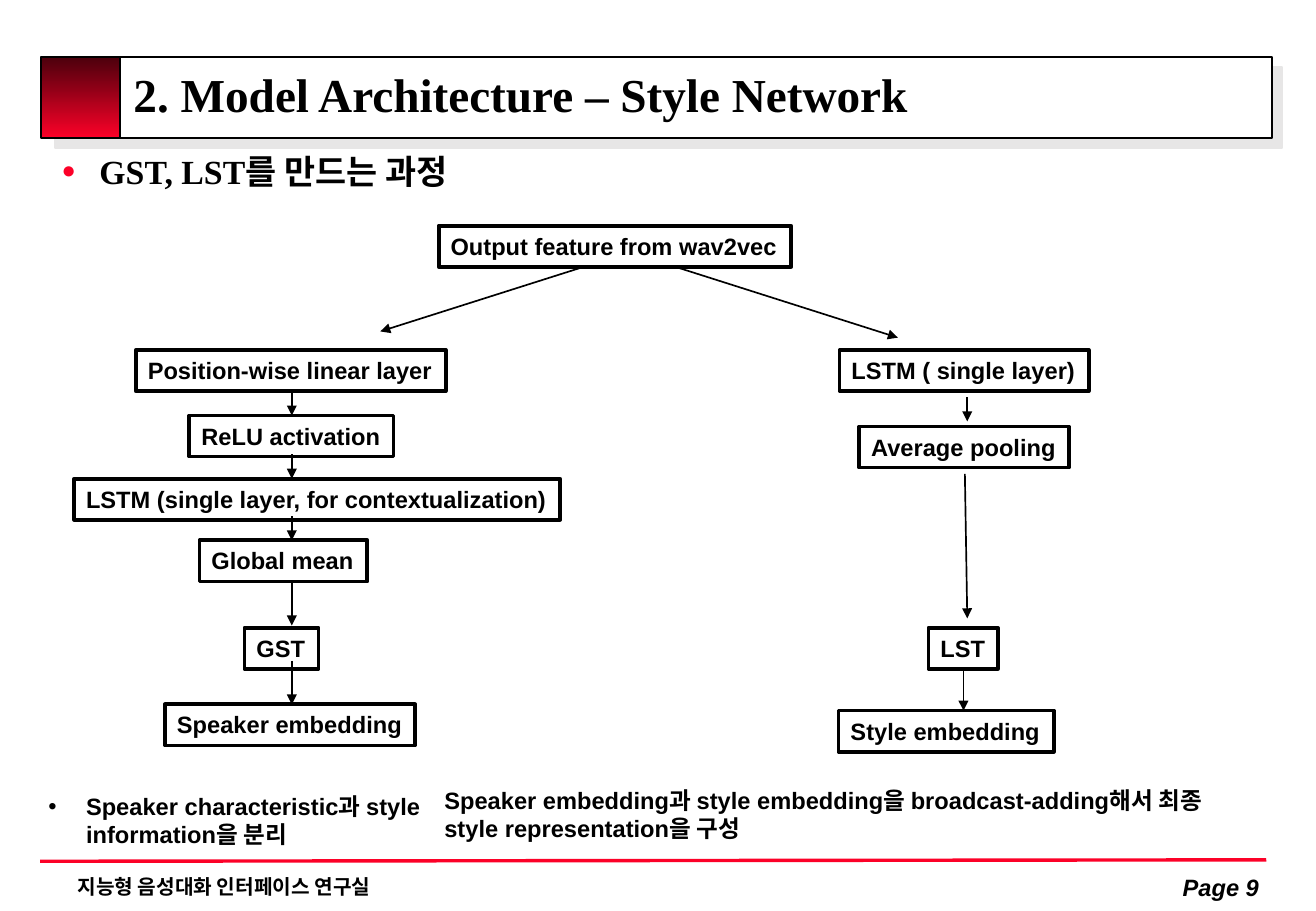
import pptx
import pptx.dml.color
import pptx.enum.shapes
import pptx.enum.text
import pptx.oxml.ns
import pptx.util
from lxml import etree

Cm = pptx.util.Cm
Pt = pptx.util.Pt
qn = pptx.oxml.ns.qn
ANCHOR = pptx.enum.text.MSO_ANCHOR
ALIGN = pptx.enum.text.PP_ALIGN

HEX = {"ink": "000000", "paper": "FFFFFF", "red": "FC0128",
       "dark": "4B000C", "shade": "E7E6E6"}
BOX_H = 0.86
LEFT_X = 6.1

# text, left, top, width
STEPS = [
    ("Output feature from wav2vec", 9.17, 4.72, 7.37),
    ("Position-wise linear layer", 2.84, 7.32, 6.48),
    ("ReLU activation", 3.96, 8.69, 4.27),
    ("LSTM (single layer, for contextualization)", 1.55, 10.01, 10.16),
    ("Global mean", 4.17, 11.3, 3.51),
    ("GST", 5.11, 13.13, 1.55),
    ("Speaker embedding", 3.45, 14.73, 5.23),
    ("LSTM ( single layer)", 17.55, 7.32, 5.21),
    ("Average pooling", 17.96, 8.92, 4.39),
    ("LST", 19.41, 13.13, 1.45),
    ("Style embedding", 17.53, 14.86, 4.5),
]
# start and end heights of the arrows down the left column
DROPS = [(8.18, 8.69), (9.5, 10.01), (10.8, 11.3), (12.17, 13.08), (13.82, 14.73)]
# start x, start y, end x, end y
ARROWS = [
    (12.17, 5.59, 7.95, 6.93),
    (14.15, 5.59, 18.77, 7.06),
    (20.22, 8.31, 20.22, 8.81),
    (20.17, 9.91, 20.22, 12.93),
    (20.14, 13.97, 20.14, 14.86),
]


def color(name):
    return pptx.dml.color.RGBColor.from_string(HEX[name])


def add_node(parent, tag, **attrs):
    return etree.SubElement(parent, qn(tag), attrs)


def add_shade(effects, dist):
    """Fill an effect list with a hard shadow to the lower right."""
    shade = add_node(effects, "a:outerShdw", dist=str(int(Pt(dist))),
                     dir="2700000", algn="ctr", rotWithShape="0")
    add_node(shade, "a:srgbClr", val=HEX["shade"])


def add_panel(slide, left, top, width, height):
    rect = pptx.enum.shapes.MSO_SHAPE.RECTANGLE
    panel = slide.shapes.add_shape(rect, Cm(left), Cm(top), Cm(width), Cm(height))
    panel.shadow.inherit = False
    panel.line.color.rgb = color("ink")
    panel.line.width = Pt(1)
    return panel


def add_line(slide, ends, tint="ink", width=1, arrow=True):
    straight = pptx.enum.shapes.MSO_CONNECTOR.STRAIGHT
    line = slide.shapes.add_connector(straight, *[Cm(end) for end in ends])
    line.line.color.rgb = color(tint)
    line.line.width = Pt(width)
    props = line.element.spPr
    if arrow:
        add_node(props.find(qn("a:ln")), "a:tailEnd", type="triangle")
    add_node(props, "a:effectLst")


def add_bullet(para, char, tint, size):
    """Hang the paragraph from a bullet of the given size in percent."""
    props = para._p.get_or_add_pPr()
    indent = int(Cm(0.79))
    props.set("marL", str(indent))
    props.set("indent", str(-indent))
    add_node(add_node(props, "a:buClr"), "a:srgbClr", val=HEX[tint])
    add_node(props, "a:buSzPct", val=str(size * 1000))
    add_node(props, "a:buFont", typeface="Arial")
    add_node(props, "a:buChar", char=char)


def add_text(slide, text, left, top, width, height, size=14, face="Arial",
             wrap=True, anchor=ANCHOR.TOP, bullet=None):
    box = slide.shapes.add_textbox(Cm(left), Cm(top), Cm(width), Cm(height))
    frame = box.text_frame
    frame.text = text
    frame.word_wrap = wrap
    frame.vertical_anchor = anchor
    para = frame.paragraphs[0]
    if bullet:
        add_bullet(para, *bullet)
    font = para.runs[0].font
    font.size = Pt(size)
    font.bold = True
    font.color.rgb = color("ink")
    font.name = face
    return box


def add_step(slide, text, left, top, width):
    """Add a framed box of the flow chart."""
    box = add_text(slide, text, left, top, width, BOX_H, wrap=False)
    box.text_frame.auto_size = pptx.enum.text.MSO_AUTO_SIZE.SHAPE_TO_FIT_TEXT
    box.line.color.rgb = color("ink")
    box.line.width = Pt(2.25)


def add_head(slide):
    bar = add_panel(slide, 0.94, 1.19, 25.65, 1.7)
    bar.fill.solid()
    bar.fill.fore_color.rgb = color("paper")
    add_shade(bar.element.spPr.find(qn("a:effectLst")), 8.5)

    block = add_panel(slide, 0.86, 1.19, 1.65, 1.7)
    block.fill.gradient()
    block.fill.gradient_angle = 270
    for stop, tint in zip(block.fill.gradient_stops, ("dark", "red")):
        stop.color.rgb = color(tint)

    title = add_text(slide, "2. Model Architecture – Style Network",
                     2.54, 1.12, 24.13, 1.9, size=28,
                     face="Times New Roman", anchor=ANCHOR.MIDDLE)
    para = title.text_frame.paragraphs[0]
    para.line_spacing = 0.8
    effects = etree.Element(qn("a:effectLst"))
    add_shade(effects, 2.5)
    para.runs[0].font._element.find(qn("a:solidFill")).addnext(effects)


def add_foot(slide):
    add_line(slide, (0.84, 18.01, 26.47, 17.98), "red", 2, arrow=False)
    add_text(slide, "지능형 음성대화 인터페이스 연구실", 1.37, 18.16, 18.39, 0.76, size=12)
    page = add_text(slide, "Page 9", 23.6, 18.14, 2.97, 0.84, anchor=ANCHOR.MIDDLE)
    para = page.text_frame.paragraphs[0]
    para.alignment = ALIGN.RIGHT
    para.runs[0].font.italic = True


def main():
    deck = pptx.Presentation()
    deck.slide_width, deck.slide_height = Cm(27.51), Cm(19.05)
    slide = deck.slides.add_slide(deck.slide_layouts[6])

    add_head(slide)
    add_foot(slide)
    add_text(slide, "GST, LST를 만드는 과정", 1.04, 3.02, 25.7, 1.2, size=20,
             face="Times New Roman", bullet=("●", "red", 70))
    for step in STEPS:
        add_step(slide, *step)
    for start, end in DROPS:
        add_line(slide, (LEFT_X, start, LEFT_X, end))
    for ends in ARROWS:
        add_line(slide, ends)
    add_text(slide, "Speaker characteristic과 style information을 분리",
             0.76, 16.43, 8.28, 1.45, bullet=("•", "ink", 100))
    add_text(slide, "Speaker embedding과 style embedding을 broadcast-adding해서 "
             "최종 style representation을 구성", 9.04, 16.31, 16.61, 1.45)

    deck.save("out.pptx")


if __name__ == "__main__":
    main()
